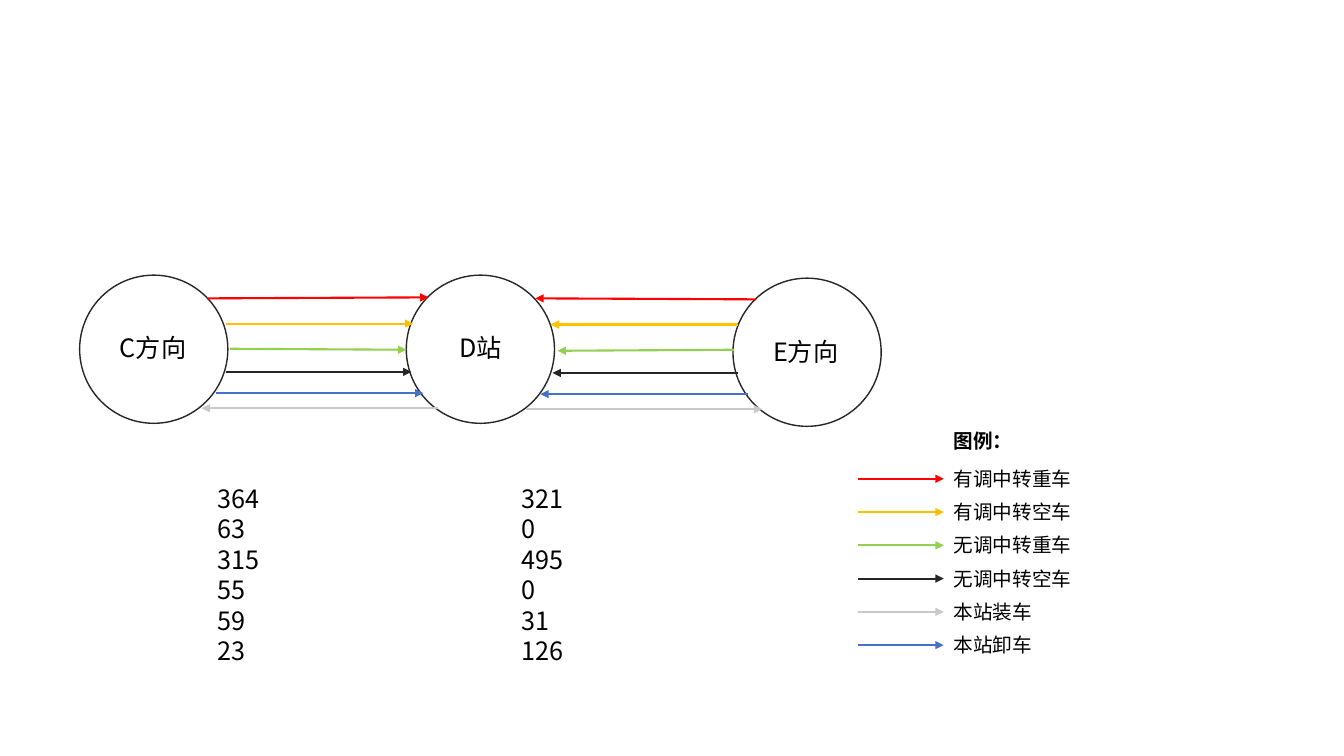
from pptx import Presentation
from pptx.dml.color import RGBColor
from pptx.enum.shapes import MSO_CONNECTOR, MSO_SHAPE
from pptx.oxml.ns import qn
from pptx.util import Inches, Pt
from lxml.etree import SubElement

THEME = {
    "font": "Noto Sans CJK SC", "text": "000000", "outline": "262626",
    "label_pt": 18, "legend_pt": 14, "outline_pt": 1, "arrow_pt": 1.5,
    "line_height": 1.21,
    "red": "FF0000", "yellow": "FFC000", "green": "92D050",
    "black": "262626", "grey": "C9C9C9", "blue": "4472C4",
}

# name, circle left and top, label left
STATIONS = [("C方向", 0.79, 2.73, 1.09), ("D站", 4.03, 2.73, 4.46), ("E方向", 7.27, 2.76, 7.57)]
DIAMETER, LABEL_DROP = 1.47, 0.52

# colour, start x, start y, end x, end y on the C-D side
FLOWS = [
    ("red", 2.06, 2.96, 4.25, 2.95),
    ("yellow", 2.24, 3.21, 4.1, 3.21),
    ("green", 2.28, 3.46, 4.03, 3.47),
    ("black", 2.24, 3.69, 4.08, 3.69),
    ("grey", 4.34, 4.05, 2, 4.05),
    ("blue", 2.14, 3.9, 4.2, 3.9),
]
MIRROR_SUM, MIRROR_DROP = 9.56, 0.01  # the D-E side mirrors the C-D side

LEGEND_TITLE = "图例："
LEGEND = [
    ("有调中转重车", "red"), ("有调中转空车", "yellow"), ("无调中转重车", "green"),
    ("无调中转空车", "black"), ("本站装车", "grey"), ("本站卸车", "blue"),
]
LEGEND_X, LEGEND_TOP, LEGEND_STEP, KEY_LENGTH = 9.36, 4.58, 0.33, 0.85

COUNTS = [
    (2.06, ["364", "63", "315", "55", "59", "23"]),
    (5.07, ["321", "0", "495", "0", "31", "126"]),
]


def colour(name):
    return RGBColor.from_string(THEME[name])


def add_text(s, lines, x, y, w, h, size, bold=False):
    tf = s.shapes.add_textbox(Inches(x), Inches(y), Inches(w), Inches(h)).text_frame
    tf.word_wrap = True
    tf.text = "\n".join(lines)
    for p in tf.paragraphs:
        p.line_spacing = Pt(round(size * THEME["line_height"], 1))
        p.font.name = THEME["font"]
        p.font.size = Pt(size)
        p.font.bold = bold
        p.font.color.rgb = colour("text")
        fonts = p._p.pPr.find(qn("a:defRPr"))
        SubElement(fonts, qn("a:ea")).set("typeface", THEME["font"])
        for r in p.runs:
            r.font.name = THEME["font"]
            r.font.size = Pt(size)
            r.font.bold = bold
            r.font.color.rgb = colour("text")
            SubElement(r._r.rPr, qn("a:ea")).set("typeface", THEME["font"])


def add_arrow(s, name, x1, y1, x2, y2):
    line = s.shapes.add_connector(
        MSO_CONNECTOR.STRAIGHT, Inches(x1), Inches(y1), Inches(x2), Inches(y2))
    line.line.color.rgb = colour(name)
    line.line.width = Pt(THEME["arrow_pt"])
    SubElement(line.line._get_or_add_ln(), qn("a:tailEnd")).set("type", "triangle")
    SubElement(line._element.spPr, qn("a:effectLst"))


def add_station(s, name, x, y, label_x):
    sp = s.shapes.add_shape(
        MSO_SHAPE.OVAL, Inches(x), Inches(y), Inches(DIAMETER), Inches(DIAMETER))
    sp.shadow.inherit = False
    sp.fill.background()
    sp.line.color.rgb = colour("outline")
    sp.line.width = Pt(THEME["outline_pt"])
    add_text(s, [name], label_x, y + LABEL_DROP, DIAMETER, 0.4, THEME["label_pt"])


def main():
    prs = Presentation()
    prs.slide_width, prs.slide_height = Inches(13.33), Inches(7.5)
    s = prs.slides.add_slide(prs.slide_layouts[6])

    for station in STATIONS:
        add_station(s, *station)
    for name, x1, y1, x2, y2 in FLOWS:
        add_arrow(s, name, x1, y1, x2, y2)
        add_arrow(s, name, MIRROR_SUM - x1, y1 + MIRROR_DROP,
                  MIRROR_SUM - x2, y2 + MIRROR_DROP)

    add_text(s, [LEGEND_TITLE], LEGEND_X, 4.2, 1.05, 0.34, THEME["legend_pt"], bold=True)
    for i, (label, name) in enumerate(LEGEND):
        y = LEGEND_TOP + i * LEGEND_STEP
        add_text(s, [label], LEGEND_X, y, 1.89, 0.34, THEME["legend_pt"])
        add_arrow(s, name, LEGEND_X - KEY_LENGTH, y + 0.17, LEGEND_X, y + 0.17)

    for x, counts in COUNTS:
        add_text(s, counts, x, 4.74, 1.66, 1.92, THEME["label_pt"])

    prs.save("out.pptx")


if __name__ == "__main__":
    main()
